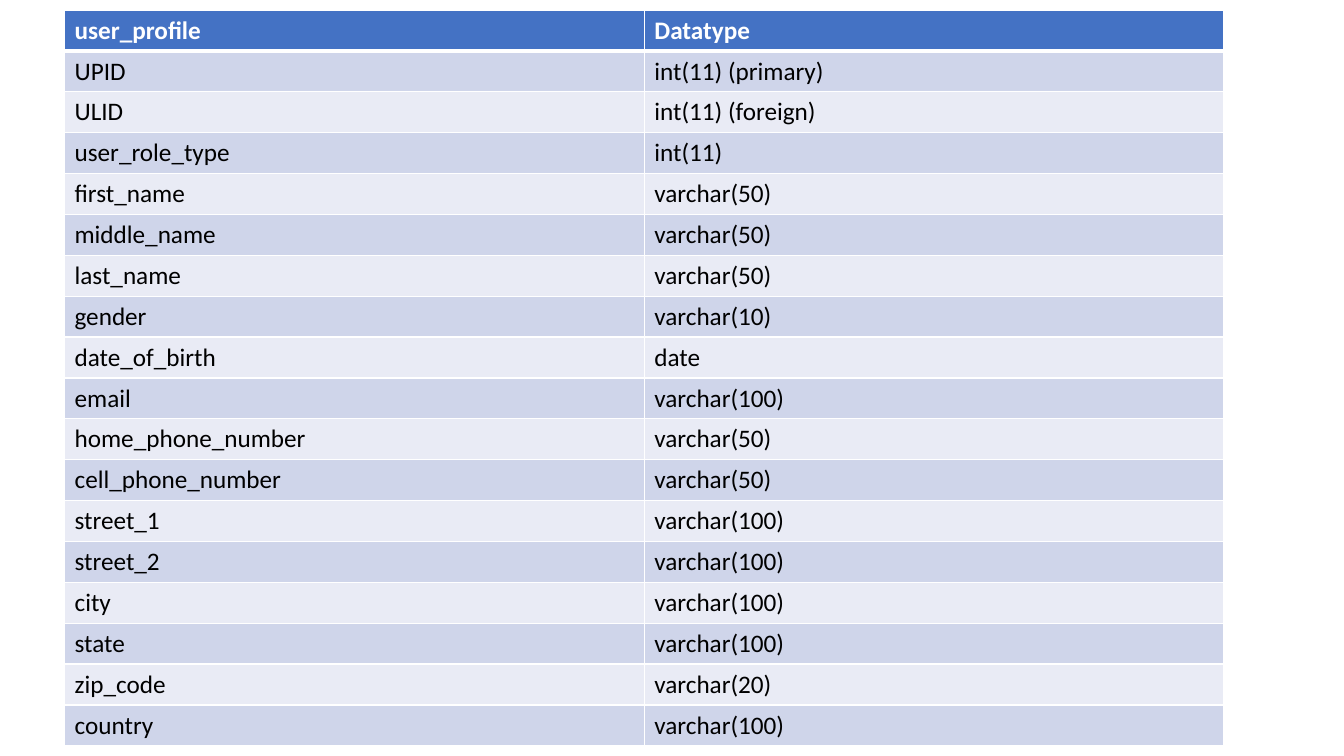
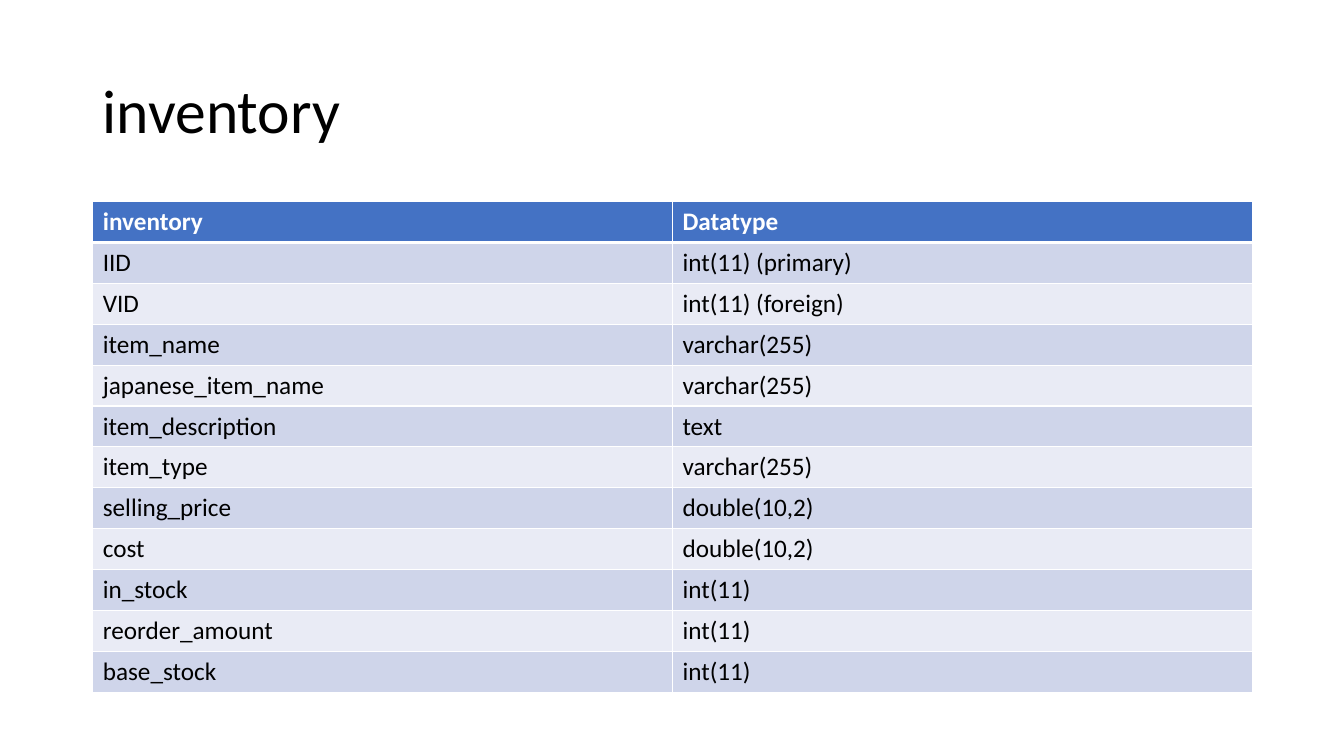
"""Build two slides that describe database tables."""
import pptx
import pptx.util
import pptx.dml.color
import pptx.enum.text
import pptx.oxml.ns
import lxml.etree

Inches, Pt = pptx.util.Inches, pptx.util.Pt
RGBColor = pptx.dml.color.RGBColor

PROFILE_FIELDS = [
    ("user_profile", "Datatype"),
    ("UPID", "int(11) (primary)"),
    ("ULID", "int(11) (foreign)"),
    ("user_role_type", "int(11)"),
    ("first_name", "varchar(50)"),
    ("middle_name", "varchar(50)"),
    ("last_name", "varchar(50)"),
    ("gender", "varchar(10)"),
    ("date_of_birth", "date"),
    ("email", "varchar(100)"),
    ("home_phone_number", "varchar(50)"),
    ("cell_phone_number", "varchar(50)"),
    ("street_1", "varchar(100)"),
    ("street_2", "varchar(100)"),
    ("city", "varchar(100)"),
    ("state", "varchar(100)"),
    ("zip_code", "varchar(20)"),
    ("country", "varchar(100)"),
]
INVENTORY_FIELDS = [
    ("inventory", "Datatype"),
    ("IID", "int(11) (primary)"),
    ("VID", "int(11) (foreign)"),
    ("item_name", "varchar(255)"),
    ("japanese_item_name", "varchar(255)"),
    ("item_description", "text"),
    ("item_type", "varchar(255)"),
    ("selling_price", "double(10,2)"),
    ("cost", "double(10,2)"),
    ("in_stock", "int(11)"),
    ("reorder_amount", "int(11)"),
    ("base_stock", "int(11)"),
]
SLIDES = [
    {"title": None, "fields": PROFILE_FIELDS, "left": 0.64, "top": 0.1, "height": 7.3},
    {"title": "inventory", "fields": INVENTORY_FIELDS, "left": 0.92, "top": 2, "height": 4.87},
]

FONT = "Calibri"
WHITE = RGBColor(0xFF, 0xFF, 0xFF)
BLACK = RGBColor(0, 0, 0)
HEADER_BLUE = RGBColor(0x44, 0x72, 0xC4)
BANDS = [RGBColor(0xE9, 0xEB, 0xF5), RGBColor(0xCF, 0xD5, 0xEA)]
CONTENT_WIDTH = Inches(11.5)
TITLE_TOP, TITLE_HEIGHT = Inches(0.4), Inches(1.45)
THIN, THICK = Pt(1), Pt(3)


def set_font(paragraph, size, color, bold=False):
    font = paragraph.font
    font.name, font.size, font.bold = FONT, Pt(size), bold
    font.color.rgb = color


def add_title(slide, text, left):
    box = slide.shapes.add_textbox(left, TITLE_TOP, CONTENT_WIDTH, TITLE_HEIGHT)
    frame = box.text_frame
    frame.word_wrap = True
    frame.vertical_anchor = pptx.enum.text.MSO_ANCHOR.MIDDLE
    paragraph = frame.paragraphs[0]
    paragraph.text = text
    paragraph.line_spacing = 0.9
    set_font(paragraph, 44, BLACK)


def set_borders(cell, row):
    qn = pptx.oxml.ns.qn
    properties = cell._tc.get_or_add_tcPr()
    widths = {"lnL": THIN, "lnR": THIN,
              "lnT": THICK if row == 1 else THIN,
              "lnB": THICK if row == 0 else THIN}
    for side, width in widths.items():
        line = lxml.etree.SubElement(properties, qn("a:" + side), w=str(width))
        fill = lxml.etree.SubElement(line, qn("a:solidFill"))
        lxml.etree.SubElement(fill, qn("a:srgbClr"), val=str(WHITE))


def add_field_table(slide, fields, left, top, height):
    table = slide.shapes.add_table(
        len(fields), len(fields[0]), left, top, CONTENT_WIDTH, height).table
    for row, values in enumerate(fields):
        header = row == 0
        for column, value in enumerate(values):
            cell = table.cell(row, column)
            cell.text = value
            set_font(cell.text_frame.paragraphs[0], 18, WHITE if header else BLACK, header)
            set_borders(cell, row)
            cell.fill.solid()
            cell.fill.fore_color.rgb = HEADER_BLUE if header else BANDS[row % 2]


presentation = pptx.Presentation()
presentation.slide_width, presentation.slide_height = Inches(13.33), Inches(7.5)
for content in SLIDES:
    slide = presentation.slides.add_slide(presentation.slide_layouts[6])
    left = Inches(content["left"])
    if content["title"]:
        add_title(slide, content["title"], left)
    add_field_table(slide, content["fields"], left,
                    Inches(content["top"]), Inches(content["height"]))
presentation.save("out.pptx")
